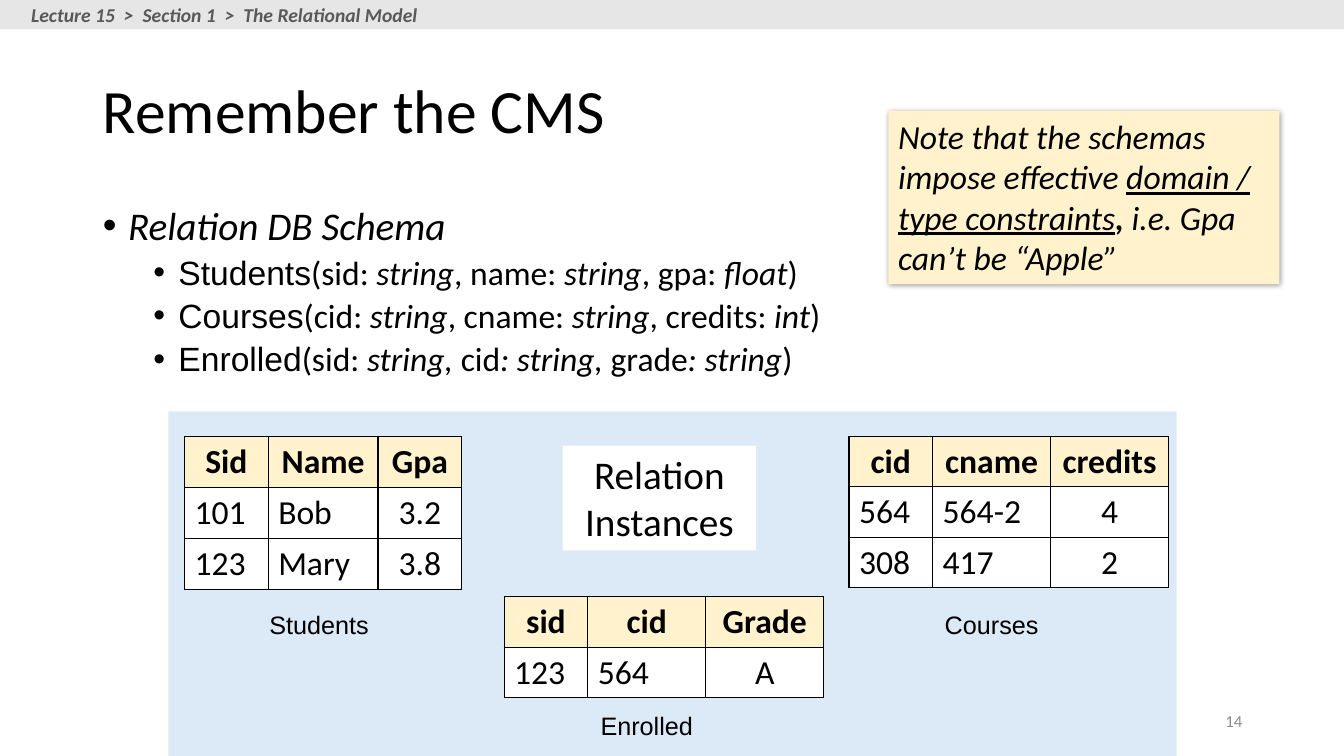
from lxml import etree
from pptx import Presentation
from pptx.dml.color import RGBColor
from pptx.enum.shapes import MSO_SHAPE
from pptx.enum.text import MSO_ANCHOR, MSO_AUTO_SIZE, PP_ALIGN
from pptx.oxml.ns import qn
from pptx.util import Inches, Pt

LEFT, CENTER, RIGHT = PP_ALIGN.LEFT, PP_ALIGN.CENTER, PP_ALIGN.RIGHT
TOP, MIDDLE = MSO_ANCHOR.TOP, MSO_ANCHOR.MIDDLE
NO_FIT = MSO_AUTO_SIZE.NONE
RECTANGLE = MSO_SHAPE.RECTANGLE
COLORS = {
    "text": "000000",
    "panel": "5B9BD5",
    "cream": "FFF2CC",
    "white": "FFFFFF",
    "bar": "E7E6E6",
    "crumb": "595959",
    "number": "8C8C8C",
}


def add_xml(parent, tag, **attributes):
    return etree.SubElement(parent, qn(tag), attributes)


def place(shape, area):
    shape.left, shape.top, shape.width, shape.height = map(Inches, area)


class SlideBuilder:
    font = "Calibri"

    def __init__(self, slide):
        self.slide = slide

    def color(self, name):
        return RGBColor.from_string(COLORS[name])

    def add_spans(self, para, spans, size, color="text", align=LEFT):
        para.alignment = align
        for text, style in spans:
            span = para.add_run()
            span.text = text
            span.font.name = "Arial" if "a" in style else self.font
            span.font.size = Pt(size)
            span.font.color.rgb = self.color(color)
            span.font.bold = "b" in style
            span.font.italic = "i" in style
            span.font.underline = "u" in style

    def title(self, area, text):
        box = self.slide.shapes.title
        place(box, area)
        frame = box.text_frame
        frame.auto_size = NO_FIT
        frame.vertical_anchor = MIDDLE
        frame.paragraphs[0].line_spacing = 0.9
        self.add_spans(frame.paragraphs[0], [(text, "")], 44)

    def bullets(self, area, items):
        box = self.slide.placeholders[1]
        place(box, area)
        frame = box.text_frame
        frame.auto_size = NO_FIT
        frame.vertical_anchor = TOP
        for index, (level, spans) in enumerate(items):
            para = frame.add_paragraph() if index else frame.paragraphs[0]
            para.level = level
            properties = para._p.get_or_add_pPr()
            properties.set("marL", str(Inches(0.25 + 0.5 * level)))
            properties.set("indent", str(Inches(-0.25)))
            add_xml(properties, "a:buFont", typeface="Arial")
            add_xml(properties, "a:buChar", char="•")
            para.line_spacing = 0.9
            para.space_before = Pt(5 if index else 0)
            self.add_spans(para, spans, 24 if level else 28)

    def rectangle(self, area, fill, spans=(), size=24, align=LEFT):
        box = self.slide.shapes.add_shape(RECTANGLE, *map(Inches, area))
        box.shadow.inherit = False
        box.fill.solid()
        box.fill.fore_color.rgb = self.color(fill)
        box.line.fill.background()
        frame = box.text_frame
        frame.word_wrap = True
        frame.vertical_anchor = TOP
        self.add_spans(frame.paragraphs[0], spans, size, align=align)
        return box

    def panel(self, area, fill, opacity):
        box = self.rectangle(area, fill)
        tint = box._element.spPr.find(qn("a:solidFill"))[0]
        add_xml(tint, "a:alpha", val=str(opacity * 1000))
        self.slide.shapes.title._element.addprevious(box._element)

    def callout(self, area, spans):
        box = self.rectangle(area, "cream", spans)
        effects = box._element.spPr.find(qn("a:effectLst"))
        shadow = add_xml(effects, "a:outerShdw", blurRad=str(Pt(4)),
                         dist=str(Pt(1)), dir=str(45 * 60000))
        tint = add_xml(shadow, "a:srgbClr", val=COLORS["text"])
        add_xml(tint, "a:alpha", val="40000")

    def label(self, area, text, style, size, color="text", align=CENTER,
              anchor=TOP, wrap=True):
        box = self.slide.shapes.add_textbox(*map(Inches, area))
        frame = box.text_frame
        frame.word_wrap = wrap
        frame.vertical_anchor = anchor
        self.add_spans(frame.paragraphs[0], [(text, style)], size, color, align)

    def cell(self, cell, text, header, align):
        properties = cell._tc.get_or_add_tcPr()
        for side in ("a:lnL", "a:lnR", "a:lnT", "a:lnB"):
            border = add_xml(properties, side, w=str(Pt(1)))
            fill = add_xml(border, "a:solidFill")
            add_xml(fill, "a:srgbClr", val=COLORS["text"])
        cell.fill.solid()
        cell.fill.fore_color.rgb = self.color("cream" if header else "white")
        self.add_spans(cell.text_frame.paragraphs[0],
                       [(text, "b" if header else "")], 24, align=align)

    def relation(self, left, top, widths, rows, name, name_left, name_top):
        height = 0.5
        frame = self.slide.shapes.add_table(
            len(rows), len(widths), Inches(left), Inches(top),
            Inches(sum(widths)), Inches(height * len(rows)))
        table = frame.table
        table.first_row = table.horz_banding = False
        for column, width in zip(table.columns, widths):
            column.width = Inches(width)
        for row_index, row in enumerate(rows):
            table.rows[row_index].height = Inches(height)
            for column_index, text in enumerate(row):
                header = row_index == 0
                centered = header or column_index == len(row) - 1
                self.cell(table.cell(row_index, column_index), text, header,
                          CENTER if centered else LEFT)
        self.label((name_left, name_top, 1.83, 0.4), name, "a", 18)


def main():
    deck = Presentation()
    deck.slide_width, deck.slide_height = Inches(13.33), Inches(7.5)
    page = SlideBuilder(deck.slides.add_slide(deck.slide_layouts[1]))

    page.panel((1.67, 4.08, 10, 3.42), "panel", 21)
    page.title((0.92, 0.4, 11.5, 1.45), "Remember the CMS")
    page.bullets((0.92, 2, 11.5, 4.76), [
        (0, [("Relation DB Schema", "i")]),
        (1, [("Students", "a"), ("(sid: ", ""), ("string", "i"),
             (", name: ", ""), ("string", "i"), (", gpa: ", ""),
             ("float", "i"), (")", "")]),
        (1, [("Courses", "a"), ("(cid: ", ""), ("string", "i"),
             (", cname: ", ""), ("string", "i"), (", credits: ", ""),
             ("int", "i"), (")", "")]),
        (1, [("Enrolled", "a"), ("(sid: ", ""), ("string, ", "i"),
             ("cid", ""), (": string, ", "i"), ("grade", ""),
             (": string", "i"), (")", "")]),
    ])

    page.relation(1.83, 4.33, (0.83, 1.09, 0.83),
                  [("Sid", "Name", "Gpa"), ("101", "Bob", "3.2"),
                   ("123", "Mary", "3.8")], "Students", 2.25, 6)
    page.relation(8.42, 4.33, (0.83, 1.17, 1.17),
                  [("cid", "cname", "credits"), ("564", "564-2", "4"),
                   ("308", "417", "2")], "Courses", 8.92, 6)
    page.relation(5, 5.92, (0.83, 1.17, 1.17),
                  [("sid", "cid", "Grade"), ("123", "564", "A")],
                  "Enrolled", 5.5, 7)
    page.rectangle((5.58, 4.42, 1.92, 1.04), "white",
                   [("Relation Instances", "")], 28, CENTER)

    page.label((9.42, 6.95, 3, 0.4), "14", "", 12, "number", RIGHT, MIDDLE)
    page.rectangle((0, 0, 13.33, 0.29), "bar")
    page.label((0.21, -0.02, 4.06, 0.34),
               "Lecture 15  >  Section 1  >  The Relational Model", "bi", 14,
               "crumb", LEFT, wrap=False)
    page.callout((8.81, 1.1, 3.88, 1.72), [
        ("Note that the schemas impose effective ", "i"),
        ("domain / type constraints", "iu"),
        (", ", "ib"),
        ("i.e. Gpa can’t be “Apple”", "i"),
    ])
    deck.save("out.pptx")


if __name__ == "__main__":
    main()
